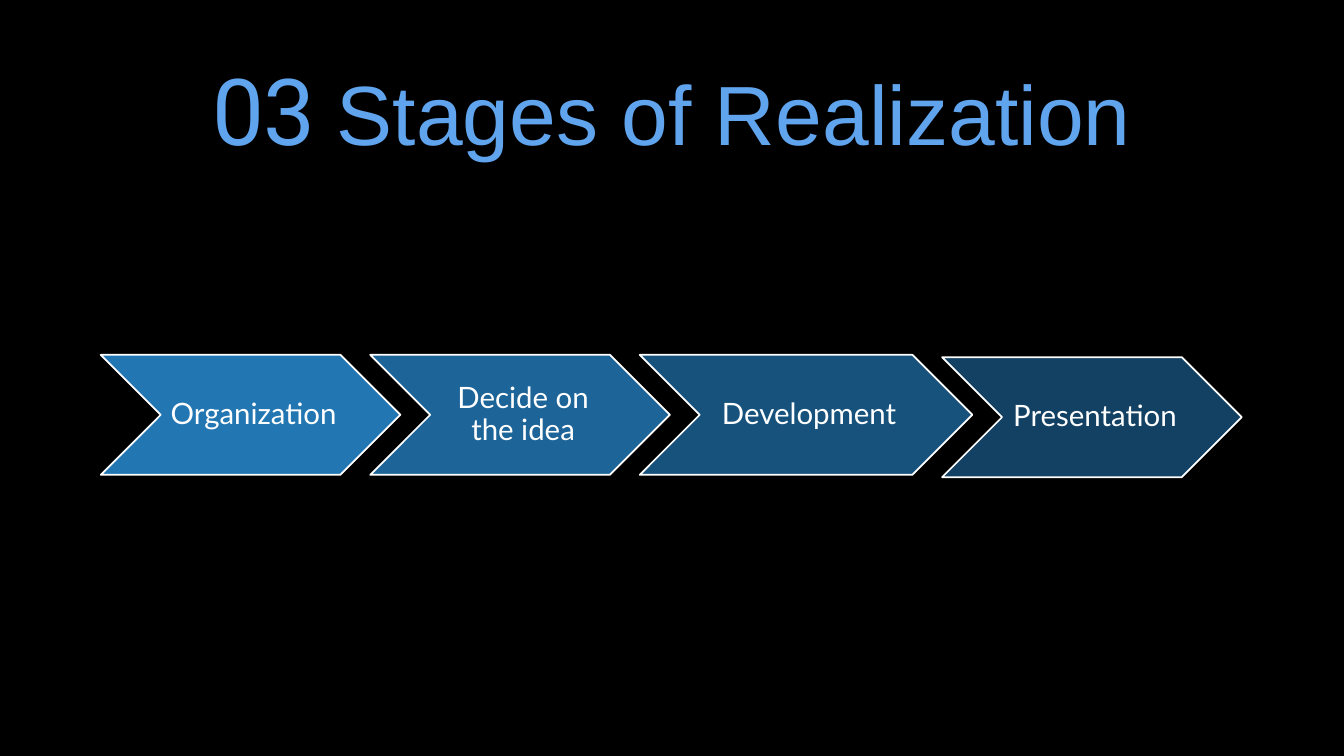
from lxml import etree
from pptx import Presentation
from pptx import util as u
from pptx.dml.color import RGBColor
from pptx.enum import shapes, text
from pptx.oxml.ns import qn

COLOURS = {"background": "000000", "heading": "60A4EE", "gap": "51E16C",
           "stage": "2683C6", "white": "FFFFFF"}
COLUMNS, ROWS = 40, 22.5


class StageSlide:
    """Style and current slide; lengths are grid columns and rows."""

    def __init__(self, deck):
        self.column = deck.slide_width / COLUMNS
        self.row = deck.slide_height / ROWS
        self.slide = deck.slides.add_slide(deck.slide_layouts[5])
        self.paint(self.slide.background.fill, "background")

    def paint(self, fill, colour):
        fill.solid()
        fill.fore_color.rgb = RGBColor.from_string(COLOURS[colour])

    def box(self, left, top, width, height):
        return (round(left * self.column), round(top * self.row),
                round(width * self.column), round(height * self.row))

    def style(self, run, font, size, colour):
        run.font.name = font
        run.font.size = u.Pt(size)
        run.font.color.rgb = RGBColor.from_string(COLOURS[colour])

    def title(self, parts, *place):
        heading = self.slide.shapes.title
        heading.left, heading.top, heading.width, heading.height = self.box(*place)
        frame = heading.text_frame
        frame.auto_size = text.MSO_AUTO_SIZE.NONE
        frame.vertical_anchor = text.MSO_ANCHOR.MIDDLE
        line = frame.paragraphs[0]
        line.alignment = text.PP_ALIGN.CENTER
        for wording, font, size, colour in parts:
            run = line.add_run()
            run.text = wording
            self.style(run, font, size, colour)

    def chevron(self, label, opacity, *place):
        stage = self.slide.shapes.add_shape(shapes.MSO_SHAPE.CHEVRON, *self.box(*place))
        stage.shadow.inherit = False
        self.paint(stage.fill, "stage")
        tint = stage.fill._xPr.find(qn("a:solidFill"))[0]
        etree.SubElement(tint, qn("a:alpha"), val=str(opacity * 1000))
        self.paint(stage.line.fill, "white")
        stage.line.width = u.Pt(1.25)

        frame = stage.text_frame
        frame.word_wrap = True
        frame.vertical_anchor = text.MSO_ANCHOR.MIDDLE
        frame.margin_left = u.Inches(0.09)
        frame.margin_top = frame.margin_right = frame.margin_bottom = u.Inches(0.03)
        frame.text = label
        line = frame.paragraphs[0]
        line.alignment = text.PP_ALIGN.CENTER
        line.line_spacing = 0.9
        self.style(line.runs[0], "Lato", 21, "white")


def main():
    deck = Presentation()
    deck.slide_width, deck.slide_height = u.Inches(13.33), u.Inches(7.5)
    page = StageSlide(deck)

    # Heading
    page.title([("03", "Roboto", 66, "heading"),
                (" ", "Arial", 54, "gap"),
                ("Stages of Realization", "Arial", 60, "heading")],
               2.52, 0.96, 34.93, 4.53)

    # Chain of stages, each notched into the one before
    overlap, left = 0.9, 3
    for label, opacity, top, width in [("Organization", 90, 10.56, 8.92),
                                       ("Decide on the idea", 77, 10.56, 8.92),
                                       ("Development", 63, 10.56, 9.9),
                                       ("Presentation", 50, 10.63, 8.92)]:
        page.chevron(label, opacity, left, top, width, 3.57)
        left += width - overlap

    deck.save("out.pptx")


if __name__ == "__main__":
    main()
